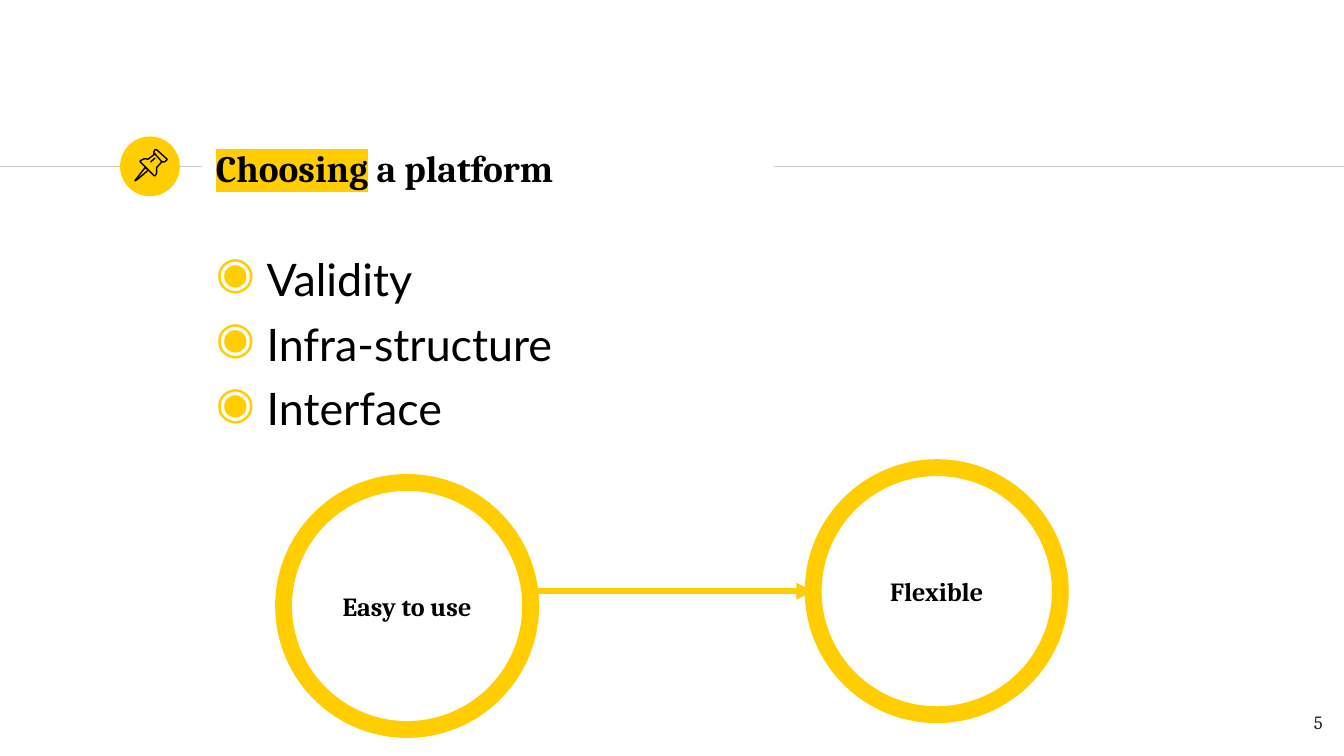
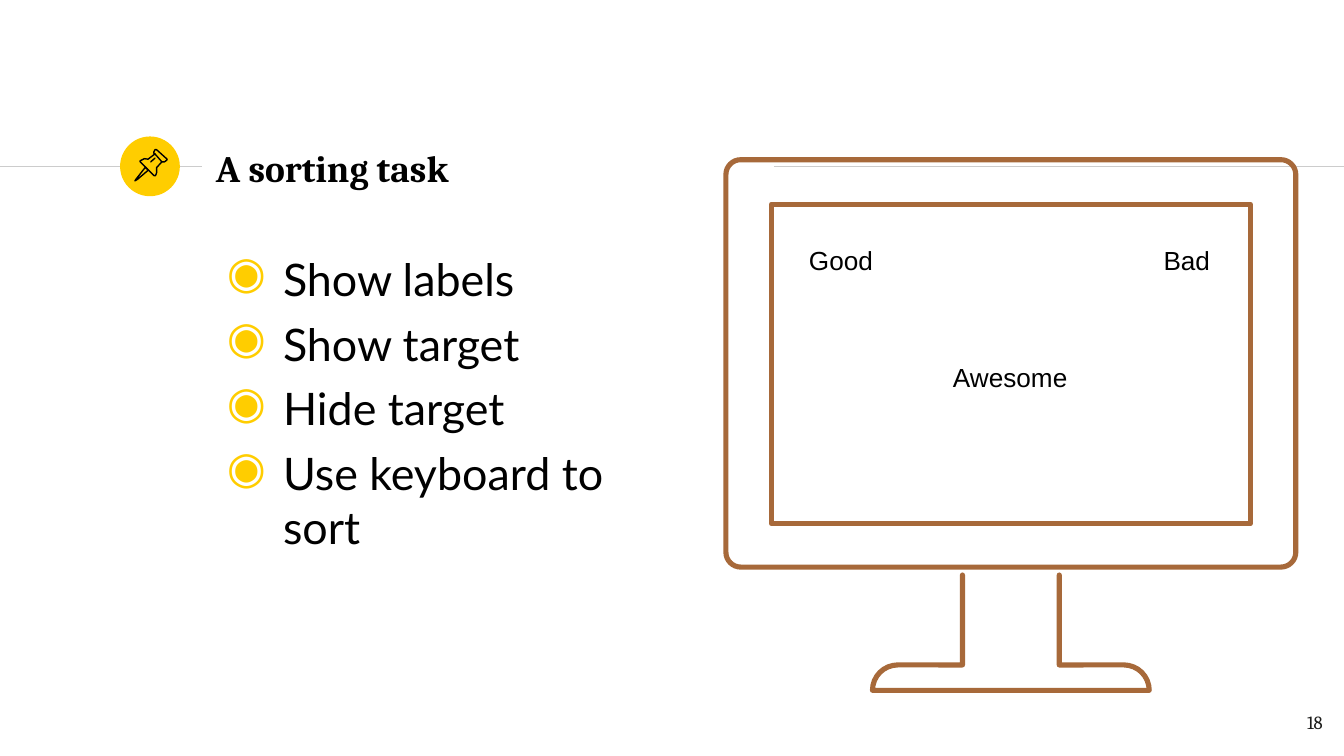
import math

import lxml.etree
import pptx
import pptx.dml.color
import pptx.enum.shapes
import pptx.enum.text
import pptx.oxml.ns
import pptx.util

Cm = pptx.util.Cm
Pt = pptx.util.Pt
qn = pptx.oxml.ns.qn
ALIGN = pptx.enum.text.PP_ALIGN
ANCHOR = pptx.enum.text.MSO_ANCHOR
AUTO = pptx.enum.text.MSO_AUTO_SIZE
SHAPE = pptx.enum.shapes.MSO_SHAPE

COLORS = {
    "yellow": "FFCD00",
    "rule": "CCCCCC",
    "text": "000000",
    "number": "1D1D1B",
    "monitor": "A7693A",
}
SERIF, SANS, LABEL = "Cambria", "Lato", "Arial"
WIDTH, HEIGHT = 25.4, 14.29
INSET = 0.25
RULE_Y = 3.15


# Basic helpers
def rgb(name):
    return pptx.dml.color.RGBColor.from_string(COLORS[name])


def place(sp, box):
    sp.left, sp.top, sp.width, sp.height = (Cm(v) for v in box)


def set_line(sp, color, width):
    sp.line.color.rgb = rgb(color)
    sp.line.width = Pt(width)


def format_run(r, font, size, color="text", bold=False):
    r.font.name, r.font.size, r.font.bold = font, Pt(size), bold
    r.font.color.rgb = rgb(color)


def set_frame(tf, anchor=ANCHOR.TOP):
    tf.word_wrap = True
    tf.auto_size = AUTO.NONE
    tf.vertical_anchor = anchor
    tf.margin_left = tf.margin_right = tf.margin_top = tf.margin_bottom = Cm(INSET)


def add_rule(slide, x1, x2, y, color, width):
    cx = slide.shapes.add_connector(
        pptx.enum.shapes.MSO_CONNECTOR.STRAIGHT, Cm(x1), Cm(y), Cm(x2), Cm(y))
    set_line(cx, color, width)
    lxml.etree.SubElement(cx._element.spPr, qn("a:effectLst"))
    return cx


def add_ellipse(slide, box):
    sp = slide.shapes.add_shape(SHAPE.OVAL, *(Cm(v) for v in box))
    sp.shadow.inherit = False
    return sp


def add_outline(slide, origin, contours, color, width):
    """Draw (points, closed) contours, given in cm from the origin."""
    def at(point):
        return Cm(origin[0] + point[0]), Cm(origin[1] + point[1])

    first = at(contours[0][0][0])
    fb = slide.shapes.build_freeform(*first, scale=1.0)
    for i, (points, closed) in enumerate(contours):
        if i:
            fb.move_to(*at(points[0]))
        fb.add_line_segments([at(pt) for pt in points[1:]], close=closed)
    sp = fb.convert_to_shape()
    sp.shadow.inherit = False
    sp.fill.background()
    set_line(sp, color, width)
    ln = sp.line._get_or_add_ln()
    ln.set("cap", "rnd")
    lxml.etree.SubElement(ln, qn("a:round"))


def arc(cx, cy, radius, start, steps=8):
    """Points of a clockwise quarter circle from the start angle."""
    angles = [math.radians(start + 90 * i / steps) for i in range(steps + 1)]
    return [(cx + radius * math.cos(a), cy + radius * math.sin(a)) for a in angles]


# Shared parts
def add_pin(slide, origin):
    needle = [(0.48, 0.58), (0.3, 0.81), (0.28, 0.84), (0.33, 0.81), (0.53, 0.64)]
    cap = [(0.66, 0.33), (0.79, 0.48), (0.84, 0.48), (0.88, 0.45), (0.89, 0.43),
           (0.69, 0.25), (0.66, 0.25), (0.64, 0.29), (0.64, 0.32)]
    body = [(0.66, 0.33), (0.53, 0.43), (0.46, 0.42), (0.38, 0.46), (0.38, 0.48),
            (0.64, 0.74), (0.67, 0.74), (0.69, 0.69), (0.69, 0.59), (0.79, 0.48)]
    shine = [(0.58, 0.48), (0.66, 0.41)]
    for points, closed in ((needle, True), (cap, True), (body, False), (shine, False)):
        add_outline(slide, origin, [(points, closed)], "text", 0.75)


def add_base(prs, number, title, highlighted=""):
    slide = prs.slides.add_slide(prs.slide_layouts[5])

    # Header rule with pin badge
    add_rule(slide, 0, 3.82, RULE_Y, "rule", 0.75)
    add_rule(slide, 14.63, WIDTH, RULE_Y, "rule", 0.75)
    disc = (2.27, 2.58, 1.13, 1.13)
    sp = add_ellipse(slide, disc)
    sp.fill.solid()
    sp.fill.fore_color.rgb = rgb("yellow")
    sp.line.fill.background()
    add_pin(slide, disc[:2])

    # Title
    sp = slide.shapes.title
    place(sp, (3.83, 2.56, 10.78, 1.23))
    set_frame(sp.text_frame, ANCHOR.MIDDLE)
    p = sp.text_frame.paragraphs[0]
    p.alignment = ALIGN.LEFT
    for text in filter(None, (highlighted, title)):
        r = p.add_run()
        r.text = text
        format_run(r, SERIF, 20, bold=True)
        if text == highlighted:
            mark = lxml.etree.Element(qn("a:highlight"))
            lxml.etree.SubElement(mark, qn("a:srgbClr"), val=COLORS["yellow"])
            r._r.rPr.find(qn("a:latin")).addprevious(mark)

    # Slide number
    sp = slide.shapes.add_textbox(Cm(23.72), Cm(13.19), Cm(1.53), Cm(1.1))
    set_frame(sp.text_frame)
    p = sp.text_frame.paragraphs[0]
    p.text = str(number)
    p.alignment = ALIGN.RIGHT
    format_run(p.runs[0], SERIF, 10, "number")
    return slide


def add_bullets(slide, box, items, margin, hang):
    sp = slide.shapes.add_textbox(*(Cm(v) for v in box))
    tf = sp.text_frame
    set_frame(tf)
    tf.text = "\n".join(items)
    for p in tf.paragraphs:
        p.space_before = Pt(6)
        format_run(p.runs[0], SANS, 24)
        pPr = p._p.get_or_add_pPr()
        pPr.set("marL", str(Cm(margin)))
        pPr.set("indent", str(-Cm(hang)))
        color = lxml.etree.SubElement(pPr, qn("a:buClr"))
        lxml.etree.SubElement(color, qn("a:srgbClr"), val=COLORS["yellow"])
        lxml.etree.SubElement(pPr, qn("a:buChar"), char="◉")


# Linked circles
def add_circles(slide, left, top):
    size, step, drop = 4.67, 10.01, 0.28
    for text, x, y in (("Easy to use", left, top + drop), ("Flexible", left + step, top)):
        sp = add_ellipse(slide, (x, y, size, size))
        sp.fill.background()
        set_line(sp, "yellow", 9)
        set_frame(sp.text_frame, ANCHOR.MIDDLE)
        p = sp.text_frame.paragraphs[0]
        p.text = text
        p.alignment = ALIGN.CENTER
        format_run(p.runs[0], SERIF, 14, bold=True)
    arrow = add_rule(slide, left + size, left + step, top + size / 2, "yellow", 3)
    lxml.etree.SubElement(arrow.line._get_or_add_ln(), qn("a:tailEnd"), type="triangle")


# Computer monitor with the words on its screen
def add_monitor(slide, left, top):
    width, height, radius = 10.77, 7.7, 0.28

    # Stand, the right half mirrors the left
    half = [(4.47, 7.85), (4.47, 9.55)] + arc(3.25, 10.03, 0.48, 180)[::-1]
    stand = half + [(width - x, y) for x, y in reversed(half)]
    add_outline(slide, (left, top), [(stand, False)], "monitor", 2.75)

    # Case and screen
    x2, y2 = width - radius, height - radius
    corners = ((radius, radius, 180), (x2, radius, 270), (x2, y2, 0), (radius, y2, 90))
    case = [pt for x, y, start in corners for pt in arc(x, y, radius, start)]
    screen = [(9.91, 6.88), (0.86, 6.88), (0.86, 0.84), (9.91, 0.84)]
    add_outline(slide, (left, top), [(case, True), (screen, True)], "monitor", 2.75)

    # Words
    words = (("Good", 1.32, 1.48, 1.78), ("Bad", 8.02, 1.48, 1.6),
             ("Awesome", 4.04, 3.69, 2.69))
    for text, x, y, w in words:
        sp = slide.shapes.add_textbox(Cm(left + x), Cm(top + y), Cm(w), Cm(0.86))
        tf = sp.text_frame
        tf.word_wrap = False
        tf.auto_size = AUTO.SHAPE_TO_FIT_TEXT
        tf.text = text
        format_run(tf.paragraphs[0].runs[0], LABEL, 14)


# Slides
def platform_slide(prs):
    slide = add_base(prs, 5, " a platform", "Choosing")
    add_bullets(slide, (3.83, 4.5, 18.92, 4.34),
                ("Validity", "Infra-structure", "Interface"), 0.96, 0.96)
    add_circles(slide, 5.36, 8.84)


def sorting_slide(prs):
    slide = add_base(prs, 18, "A sorting task")
    add_bullets(slide, (3.83, 4.5, 9.4, 8.64),
                ("Show labels", "Show target", "Hide target", "Use keyboard to sort"),
                1.27, 1.06)
    add_monitor(slide, 13.72, 3.02)


def main():
    prs = pptx.Presentation()
    prs.slide_width, prs.slide_height = Cm(WIDTH), Cm(HEIGHT)
    platform_slide(prs)
    sorting_slide(prs)
    prs.save("out.pptx")


if __name__ == "__main__":
    main()
